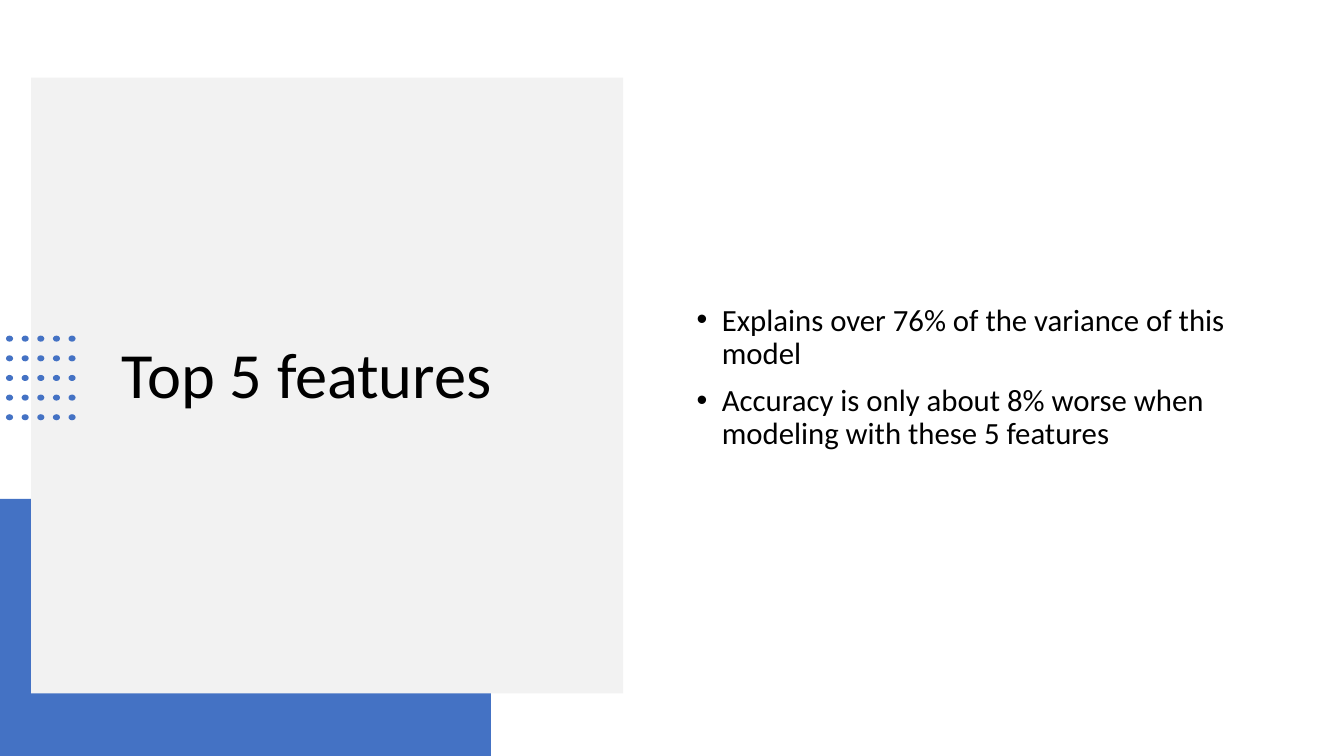
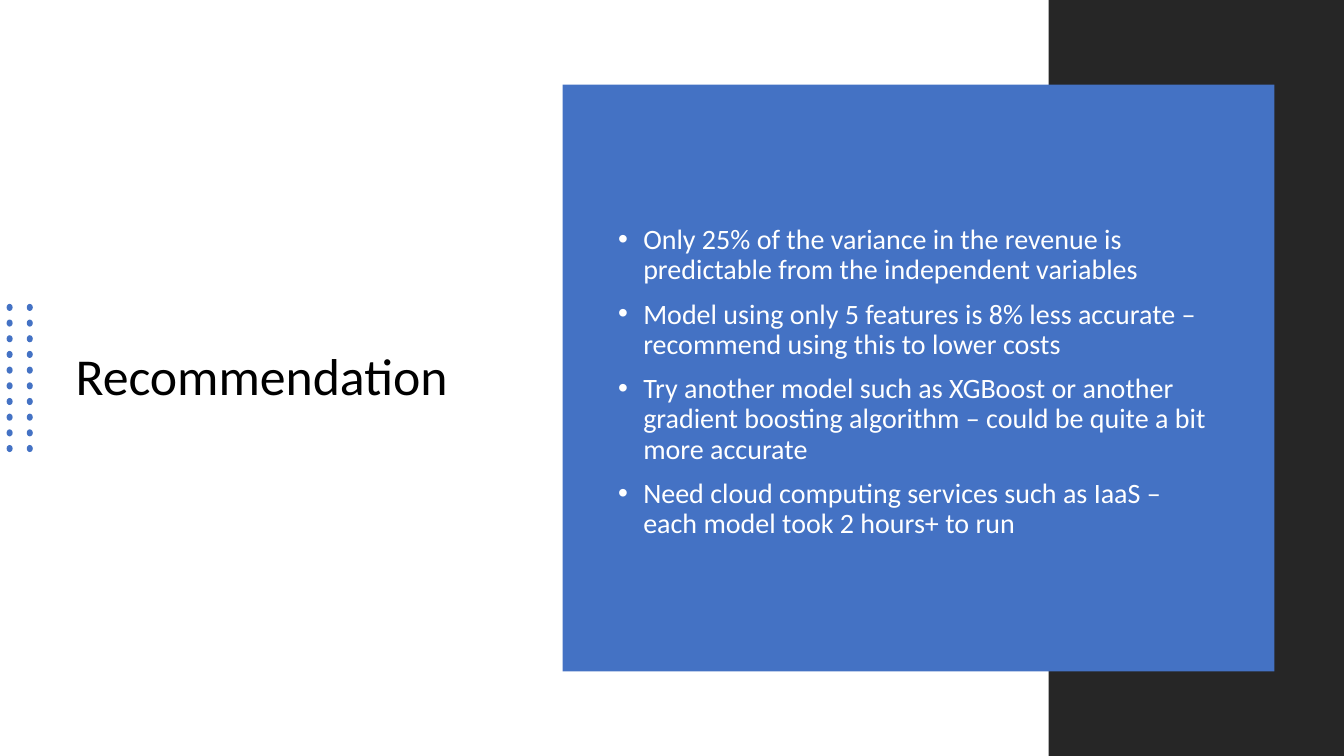
from dataclasses import dataclass

from pptx import Presentation
from pptx.dml.color import RGBColor
from pptx.enum.shapes import MSO_SHAPE
from pptx.enum.text import MSO_ANCHOR, MSO_AUTO_SIZE, PP_ALIGN
from pptx.util import Emu, Pt

RECTANGLE = MSO_SHAPE.RECTANGLE
ELLIPSE = MSO_SHAPE.OVAL
MIDDLE = MSO_ANCHOR.MIDDLE
LEFT = PP_ALIGN.LEFT
NO_FIT = MSO_AUTO_SIZE.NONE

# Shared style: 100 px make one inch
EMU_PER_PX = 9144
PAGE_WIDTH, PAGE_HEIGHT = 1333, 750
FONT = "Calibri"
BLUE, PALE, DARK = "4472C4", "F2F2F2", "262626"
BLACK, WHITE = "000000", "FFFFFF"
BULLET_INDENT = 25
DOT_WIDTH, DOT_HEIGHT = 7, 6


@dataclass(frozen=True)
class Area:
    left: int
    top: int
    width: int
    height: int


@dataclass(frozen=True)
class Panel:
    area: Area
    fill: str


@dataclass(frozen=True)
class DotGrid:
    """Dots spread evenly over the distance from first to last dot."""
    left: int
    top: int
    span_x: int
    span_y: int
    columns: int
    rows: int
    rotation: int = 0


@dataclass(frozen=True)
class Content:
    panels: list[Panel]
    dots: DotGrid
    title: str
    title_area: Area
    title_size: int
    points: list[str]
    points_area: Area
    points_size: int
    points_color: str


PAGES = [
    Content(
        panels=[Panel(Area(0, 495, 487, 255), BLUE),
                Panel(Area(31, 77, 587, 611), PALE)],
        dots=DotGrid(6, 333, 62, 78, columns=5, rows=5),
        title="Top 5 features",
        title_area=Area(111, 147, 459, 456),
        title_size=46,
        points=[
            "Explains over 76% of the variance of this model",
            "Accuracy is only about 8% worse when modeling with these 5 features",
        ],
        points_area=Area(681, 82, 587, 586),
        points_size=22,
        points_color=BLACK,
    ),
    Content(
        panels=[Panel(Area(1040, 0, 293, 750), DARK),
                Panel(Area(558, 84, 706, 582), BLUE)],
        dots=DotGrid(6, 302, 20, 140, columns=2, rows=10, rotation=90),
        title="Recommendation",
        title_area=Area(65, 114, 416, 524),
        title_size=37,
        points=[
            "Only 25% of the variance in the revenue is predictable from the "
            "independent variables",
            "Model using only 5 features is 8% less accurate – recommend using "
            "this to lower costs",
            "Try another model such as XGBoost or another gradient boosting "
            "algorithm – could be quite a bit more accurate",
            "Need cloud computing services such as IaaS – each model took "
            "2 hours+ to run",
        ],
        points_area=Area(603, 129, 618, 501),
        points_size=20,
        points_color=WHITE,
    ),
]


def px(length: float) -> Emu:
    return Emu(round(length * EMU_PER_PX))


def color(value: str) -> RGBColor:
    return RGBColor.from_string(value)


def add_filled(shapes, kind, left: float, top: float, width: int, height: int,
               fill: str):
    shape = shapes.add_shape(kind, px(left), px(top), px(width), px(height))
    shape.shadow.inherit = False
    shape.fill.solid()
    shape.fill.fore_color.rgb = color(fill)
    shape.line.fill.background()
    return shape


def add_dots(page, grid: DotGrid) -> None:
    group = page.shapes.add_group_shape()
    step_x = grid.span_x / (grid.columns - 1)
    step_y = grid.span_y / (grid.rows - 1)
    for column in range(grid.columns):
        for row in range(grid.rows):
            dot = add_filled(group.shapes, ELLIPSE,
                             grid.left + column * step_x,
                             grid.top + row * step_y,
                             DOT_WIDTH, DOT_HEIGHT, BLUE)
            dot.rotation = grid.rotation


def write_text(box, area: Area, lines: list[str], *, size: int, text_color: str,
               space_before: int = 0, indent: int = 0) -> None:
    """Place a placeholder above the panels and fill it with paragraphs."""
    box.left, box.top = px(area.left), px(area.top)
    box.width, box.height = px(area.width), px(area.height)
    box.element.getparent().append(box.element)
    frame = box.text_frame
    frame.word_wrap = True
    frame.auto_size = NO_FIT
    frame.vertical_anchor = MIDDLE
    for number, line in enumerate(lines):
        para = frame.paragraphs[0] if number == 0 else frame.add_paragraph()
        para.alignment = LEFT
        para.line_spacing = 0.9
        para.space_before = Pt(space_before)
        if indent:
            properties = para._p.get_or_add_pPr()
            properties.set("marL", str(px(indent)))
            properties.set("indent", str(px(-indent)))
        span = para.add_run()
        span.text = line
        span.font.name = FONT
        span.font.size = Pt(size)
        span.font.color.rgb = color(text_color)


def build_page(deck, content: Content) -> None:
    page = deck.slides.add_slide(deck.slide_layouts[1])
    # Background panels and dot pattern
    for panel in content.panels:
        area = panel.area
        add_filled(page.shapes, RECTANGLE, area.left, area.top,
                   area.width, area.height, panel.fill)
    add_dots(page, content.dots)
    # Title and list
    write_text(page.shapes.title, content.title_area, [content.title],
               size=content.title_size, text_color=BLACK)
    write_text(page.placeholders[1], content.points_area, content.points,
               size=content.points_size, text_color=content.points_color,
               space_before=10, indent=BULLET_INDENT)


def main() -> None:
    deck = Presentation()
    deck.slide_width, deck.slide_height = px(PAGE_WIDTH), px(PAGE_HEIGHT)
    for content in PAGES:
        build_page(deck, content)
    deck.save("out.pptx")


if __name__ == "__main__":
    main()
